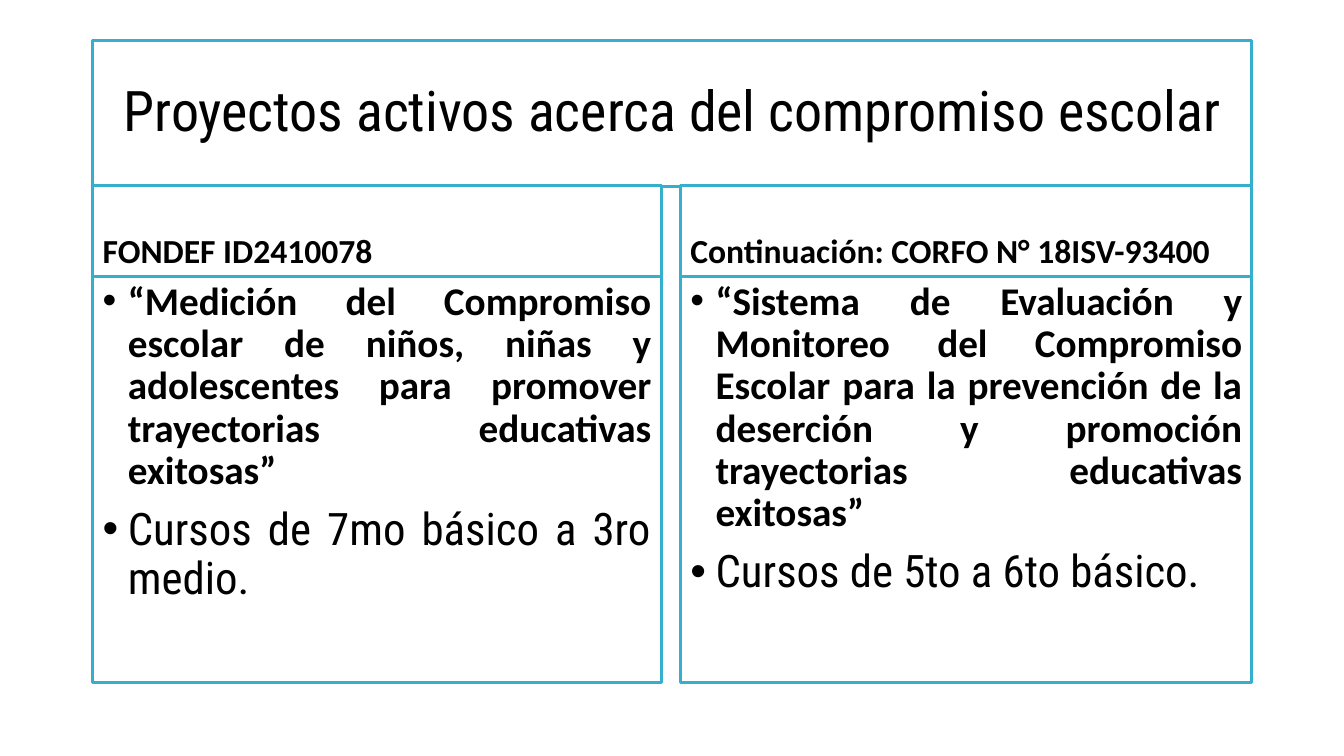
from lxml.etree import SubElement
from pptx import Presentation
from pptx.dml.color import RGBColor
from pptx.enum.shapes import MSO_SHAPE as Shape
from pptx.enum.text import MSO_ANCHOR as Anchor, PP_ALIGN as Align
from pptx.oxml.ns import qn
from pptx.util import Inches, Pt

WHITE = RGBColor(0xFF, 0xFF, 0xFF)
BLACK = RGBColor(0x00, 0x00, 0x00)
CYAN = RGBColor(0x36, 0xAF, 0xCE)
BODY_FONT = "Calibri"
DISPLAY_FONT = "Roboto Condensed"

LEFT, RIGHT = 6.9, 93.15
TOP, HEADING_TOP, LIST_TOP, BOTTOM = 5.33, 24.53, 36.53, 90.27
TITLE_HEIGHT = 19.33
PROJECTS = [
    (LEFT, 49.2, "FONDEF ID2410078",
     "“Medición del Compromiso escolar de niños, niñas y adolescentes "
     "para promover trayectorias educativas exitosas”",
     "Cursos de 7mo básico a 3ro medio."),
    (50.63, RIGHT, "Continuación: CORFO N° 18ISV-93400",
     "“Sistema de Evaluación y Monitoreo del Compromiso Escolar para la "
     "prevención de la deserción y promoción trayectorias educativas exitosas”",
     "Cursos de 5to a 6to básico."),
]


def write(p, text, size, font=BODY_FONT, bold=False, align=Align.LEFT,
          bullet=False, before=0):
    if bullet:
        pPr = p._p.get_or_add_pPr()
        pPr.set("marL", str(Inches(0.25)))
        pPr.set("indent", str(Inches(-0.25)))
        SubElement(pPr, qn("a:buFont")).set("typeface", "Arial")
        SubElement(pPr, qn("a:buChar")).set("char", "•")
    p.alignment = align
    p.line_spacing = 0.9
    p.space_before = Pt(before)
    r = p.add_run()
    r.text = text
    r.font.name = font
    r.font.size = Pt(size)
    r.font.bold = bold
    r.font.color.rgb = BLACK


class Board:
    """Draws framed text on a slide measured in percent of its width and height."""

    def __init__(self, prs):
        self.column = prs.slide_width / 100
        self.row = prs.slide_height / 100
        self.slide = prs.slides.add_slide(prs.slide_layouts[6])

    def frame(self, left, top, right, bottom, anchor):
        x, y = round(left * self.column), round(top * self.row)
        width = round((right - left) * self.column)
        height = round((bottom - top) * self.row)
        sp = self.slide.shapes.add_shape(Shape.RECTANGLE, x, y, width, height)
        sp.shadow.inherit = False
        sp.fill.solid()
        sp.fill.fore_color.rgb = WHITE
        sp.line.color.rgb = CYAN
        sp.line.width = Pt(2)
        tf = sp.text_frame
        tf.word_wrap = True
        tf.vertical_anchor = anchor
        return tf

    def title(self, text):
        tf = self.frame(LEFT, TOP, RIGHT, TOP + TITLE_HEIGHT, Anchor.MIDDLE)
        write(tf.paragraphs[0], text, 40, DISPLAY_FONT, align=Align.CENTER)

    def heading(self, left, right, text):
        tf = self.frame(left, HEADING_TOP, right, LIST_TOP, Anchor.BOTTOM)
        write(tf.paragraphs[0], text, 24, bold=True)

    def details(self, left, right, name, courses):
        tf = self.frame(left, LIST_TOP, right, BOTTOM, Anchor.TOP)
        write(tf.paragraphs[0], name, 28, bold=True, align=Align.JUSTIFY,
              bullet=True)
        write(tf.add_paragraph(), courses, 32, DISPLAY_FONT,
              align=Align.JUSTIFY, bullet=True, before=10)


def main():
    prs = Presentation()
    prs.slide_width, prs.slide_height = Inches(13.33), Inches(7.5)
    board = Board(prs)
    board.title("Proyectos activos acerca del compromiso escolar")
    for left, right, heading, name, courses in PROJECTS:
        board.heading(left, right, heading)
        board.details(left, right, name, courses)
    prs.save("out.pptx")


if __name__ == "__main__":
    main()
